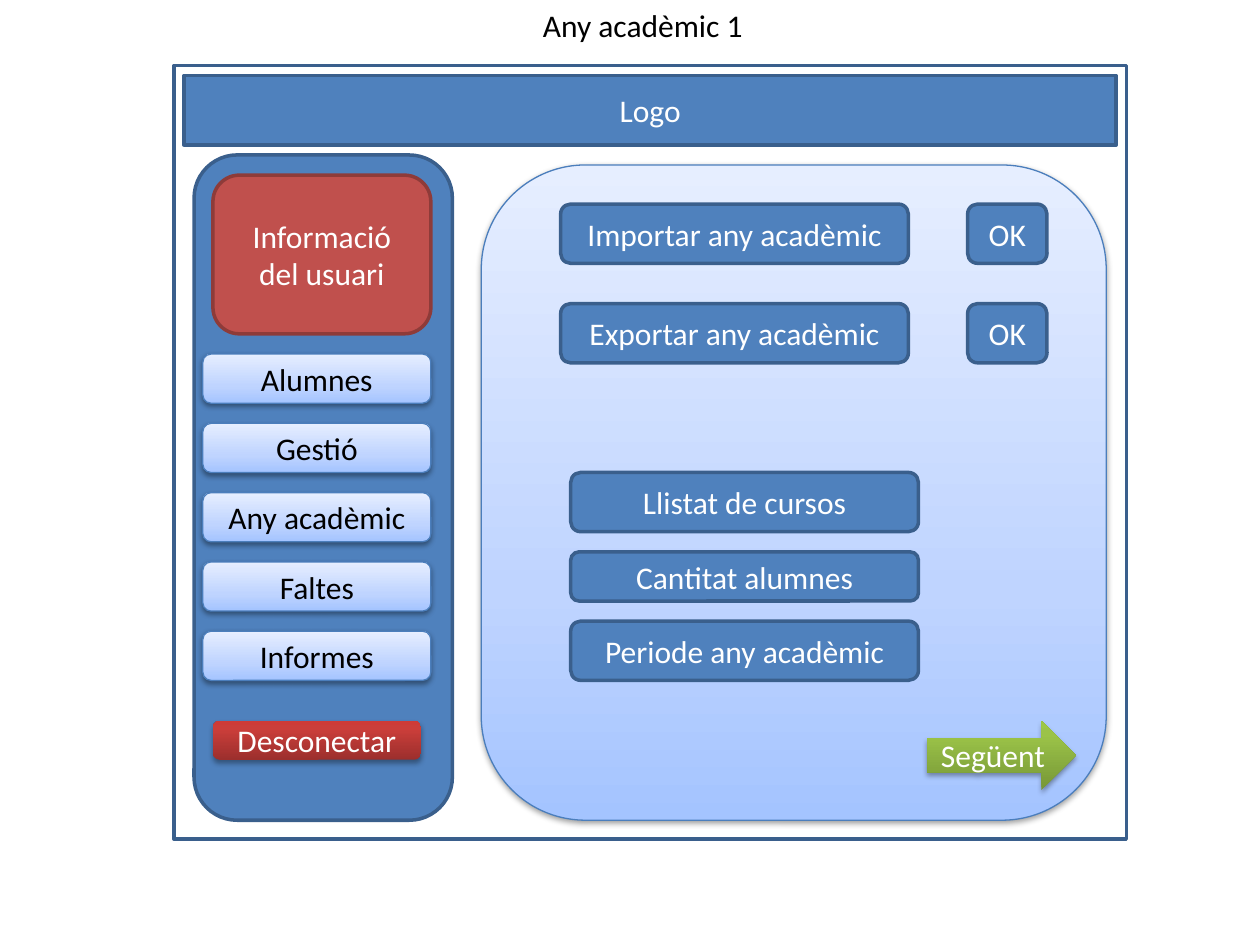
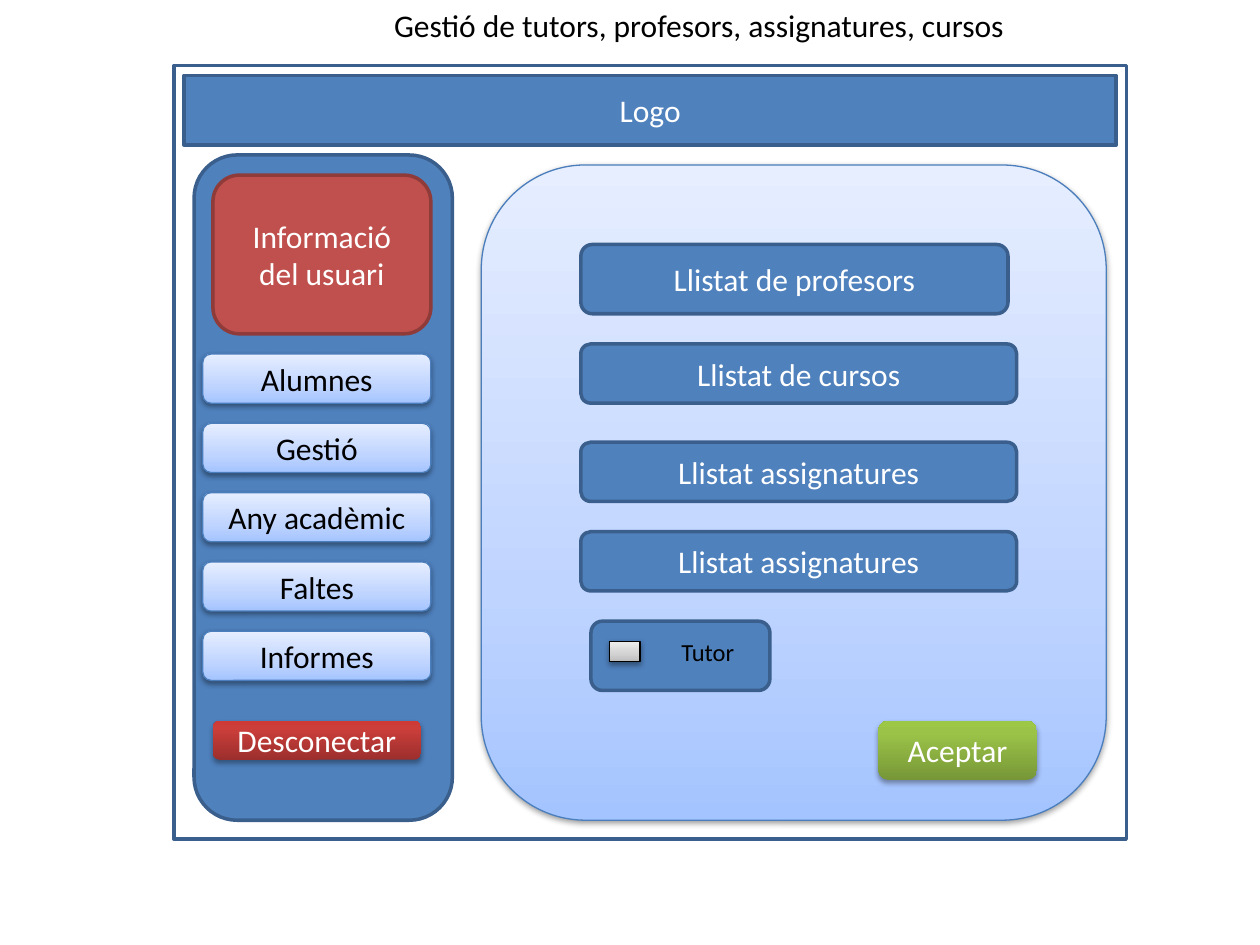
from dataclasses import dataclass
from typing import Optional

from lxml.etree import SubElement
from pptx import Presentation
from pptx.dml.color import RGBColor
from pptx.enum.shapes import MSO_SHAPE as Shape
from pptx.enum.text import MSO_ANCHOR as Anchor, MSO_AUTO_SIZE as AutoSize, PP_ALIGN as Align
from pptx.oxml.ns import qn
from pptx.util import Inches, Pt

FONT = "Calibri"
BLACK = RGBColor(0x00, 0x00, 0x00)
WHITE = RGBColor(0xFF, 0xFF, 0xFF)
BLUE = RGBColor(0x4F, 0x81, 0xBD)
DARK_BLUE = RGBColor(0x3A, 0x5F, 0x8C)
EDGE_BLUE = RGBColor(0x4B, 0x7E, 0xBC)
RED = RGBColor(0xC0, 0x50, 0x4D)
DARK_RED = RGBColor(0x8E, 0x3B, 0x39)

PALE_BLUES = ((0, RGBColor(0xA4, 0xC4, 0xFF)), (35, RGBColor(0xBF, 0xD4, 0xFF)),
              (100, RGBColor(0xE6, 0xEE, 0xFF)))
GREYS = ((0, RGBColor(0xBD, 0xBD, 0xBD)), (35, RGBColor(0xD1, 0xD1, 0xD1)),
         (100, RGBColor(0xEE, 0xEE, 0xEE)))
REDS = ((0, RGBColor(0x9C, 0x2F, 0x2D)), (80, RGBColor(0xCB, 0x3E, 0x3A)),
        (100, RGBColor(0xCE, 0x3B, 0x37)))
GREENS = ((0, RGBColor(0x77, 0x97, 0x37)), (80, RGBColor(0x9B, 0xC3, 0x48)),
          (100, RGBColor(0x9D, 0xC7, 0x46)))

SOFT_SHADOW = (38, 3.1, 1.6)
BUTTON_SHADOW = (35, 3.1, 1.8)


@dataclass(frozen=True)
class Style:
    """Look of a box: one colour or gradient stops, outline, shadow and text colour."""
    fill: object
    line: Optional[RGBColor] = None
    line_width: float = 2
    shadow: Optional[tuple] = None
    text_color: RGBColor = WHITE


FRAME = Style(WHITE, DARK_BLUE)
SOLID = Style(BLUE, DARK_BLUE)
USER = Style(RED, DARK_RED)
PALE = Style(PALE_BLUES, EDGE_BLUE, 0.75, SOFT_SHADOW, BLACK)
CHECK = Style(GREYS, BLACK, 0.75, SOFT_SHADOW)
EXIT = Style(REDS, shadow=BUTTON_SHADOW)
ACTION = Style(GREENS, shadow=BUTTON_SHADOW)

MENU = ("Alumnes", "Gestió", "Any acadèmic", "Faltes", "Informes")


def add_color(parent, color):
    """Append an RGB colour element and return it."""
    return SubElement(parent, qn("a:srgbClr"), val=str(color))


def apply_gradient(shape, stops):
    """Fill a shape with stops that run from bottom to top."""
    shape.fill.gradient()
    shape.fill.gradient_angle = 90
    stop_list = shape.element.spPr.find(".//" + qn("a:gsLst"))
    for stop in list(stop_list):
        stop_list.remove(stop)
    for percent, color in stops:
        add_color(SubElement(stop_list, qn("a:gs"), pos=str(percent * 1000)), color)


def apply_shadow(shape, opacity, blur, distance):
    """Add a black shadow that falls straight down."""
    effects = shape.element.spPr.find(qn("a:effectLst"))
    shadow = SubElement(effects, qn("a:outerShdw"), blurRad=str(Pt(blur)),
                        dist=str(Pt(distance)), dir="5400000", rotWithShape="0")
    SubElement(add_color(shadow, BLACK), qn("a:alpha"), val=str(opacity * 1000))


def write_text(frame, text, size=18, color=BLACK, align=Align.LEFT, anchor=Anchor.TOP,
               wrap=True):
    """Put one formatted paragraph in a text frame."""
    frame.word_wrap = wrap
    frame.vertical_anchor = anchor
    paragraph = frame.paragraphs[0]
    paragraph.alignment = align
    run = paragraph.add_run()
    run.text = text
    run.font.name = FONT
    run.font.size = Pt(size)
    run.font.color.rgb = color


def add_box(slide, left, top, width, height, style, text="", kind=Shape.ROUNDED_RECTANGLE):
    """Draw a styled preset shape with an optional centred text."""
    shape = slide.shapes.add_shape(kind, *map(Inches, (left, top, width, height)))
    shape.shadow.inherit = False
    if isinstance(style.fill, RGBColor):
        shape.fill.solid()
        shape.fill.fore_color.rgb = style.fill
    else:
        apply_gradient(shape, style.fill)
    if style.line is None:
        shape.line.fill.background()
    else:
        shape.line.color.rgb = style.line
        shape.line.width = Pt(style.line_width)
    if style.shadow:
        apply_shadow(shape, *style.shadow)
    if text:
        write_text(shape.text_frame, text, color=style.text_color,
                   align=Align.CENTER, anchor=Anchor.MIDDLE)


def add_label(slide, left, top, width, height, text, **text_format):
    """Add a text box that grows with its text."""
    box = slide.shapes.add_textbox(*map(Inches, (left, top, width, height)))
    write_text(box.text_frame, text, **text_format)
    box.text_frame.auto_size = AutoSize.SHAPE_TO_FIT_TEXT


def add_screen(presentation, title, title_left, title_width):
    """Add a slide with the title, window, side menu and content panel."""
    slide = presentation.slides.add_slide(presentation.slide_layouts[6])
    add_box(slide, 1.38, 0.52, 7.56, 6.14, FRAME, kind=Shape.RECTANGLE)
    add_box(slide, 1.54, 1.23, 2.05, 5.28, SOLID)
    add_box(slide, 1.46, 0.6, 7.4, 0.55, SOLID, "Logo", Shape.RECTANGLE)
    add_box(slide, 1.69, 1.39, 1.73, 1.26, USER, "Informació del usuari")
    for row, entry in enumerate(MENU):
        add_box(slide, 1.61, 2.81 + 0.55 * row, 1.81, 0.39, PALE, entry)
    add_box(slide, 1.69, 5.72, 1.65, 0.31, EXIT, "Desconectar")
    add_box(slide, 3.82, 1.31, 4.96, 5.2, PALE)
    add_label(slide, title_left, 0, title_width, 0.4, title, wrap=False)
    return slide


def add_academic_year(presentation):
    """Build the academic year screen."""
    slide = add_screen(presentation, "Any acadèmic 1", 4.21, 1.81)
    for top, text in ((1.62, "Importar any acadèmic"), (2.41, "Exportar any acadèmic")):
        add_box(slide, 4.45, top, 2.76, 0.47, SOLID, text)
        add_box(slide, 7.68, top, 0.63, 0.47, SOLID, "OK")
    for top, height, text in ((3.75, 0.47, "Llistat de cursos"),
                              (4.38, 0.39, "Cantitat alumnes"),
                              (4.93, 0.47, "Periode any acadèmic")):
        add_box(slide, 4.53, top, 2.76, height, SOLID, text)
    add_box(slide, 7.36, 5.72, 1.18, 0.55, ACTION, "Següent", Shape.RIGHT_ARROW)


def add_management(presentation):
    """Build the screen that manages tutors, teachers, subjects and courses."""
    slide = add_screen(presentation, "Gestió de tutors, profesors, assignatures, cursos",
                       3.03, 5.1)
    add_box(slide, 4.61, 1.94, 3.39, 0.55, SOLID, "Llistat de profesors")
    for top, text in ((2.73, "Llistat de cursos"), (3.51, "Llistat assignatures"),
                      (4.22, "Llistat assignatures")):
        add_box(slide, 4.61, top, 3.46, 0.47, SOLID, text)
    add_box(slide, 4.69, 4.93, 1.42, 0.55, SOLID)
    add_label(slide, 5.31, 5.01, 0.63, 0.34, "Tutor", size=14)
    add_box(slide, 4.84, 5.09, 0.24, 0.16, CHECK, kind=Shape.RECTANGLE)
    add_box(slide, 6.97, 5.72, 1.26, 0.47, ACTION, "Aceptar")


def main():
    """Create the presentation and save it."""
    presentation = Presentation()
    presentation.slide_width = Inches(10)
    presentation.slide_height = Inches(7.5)
    add_academic_year(presentation)
    add_management(presentation)
    presentation.save("out.pptx")


main()
